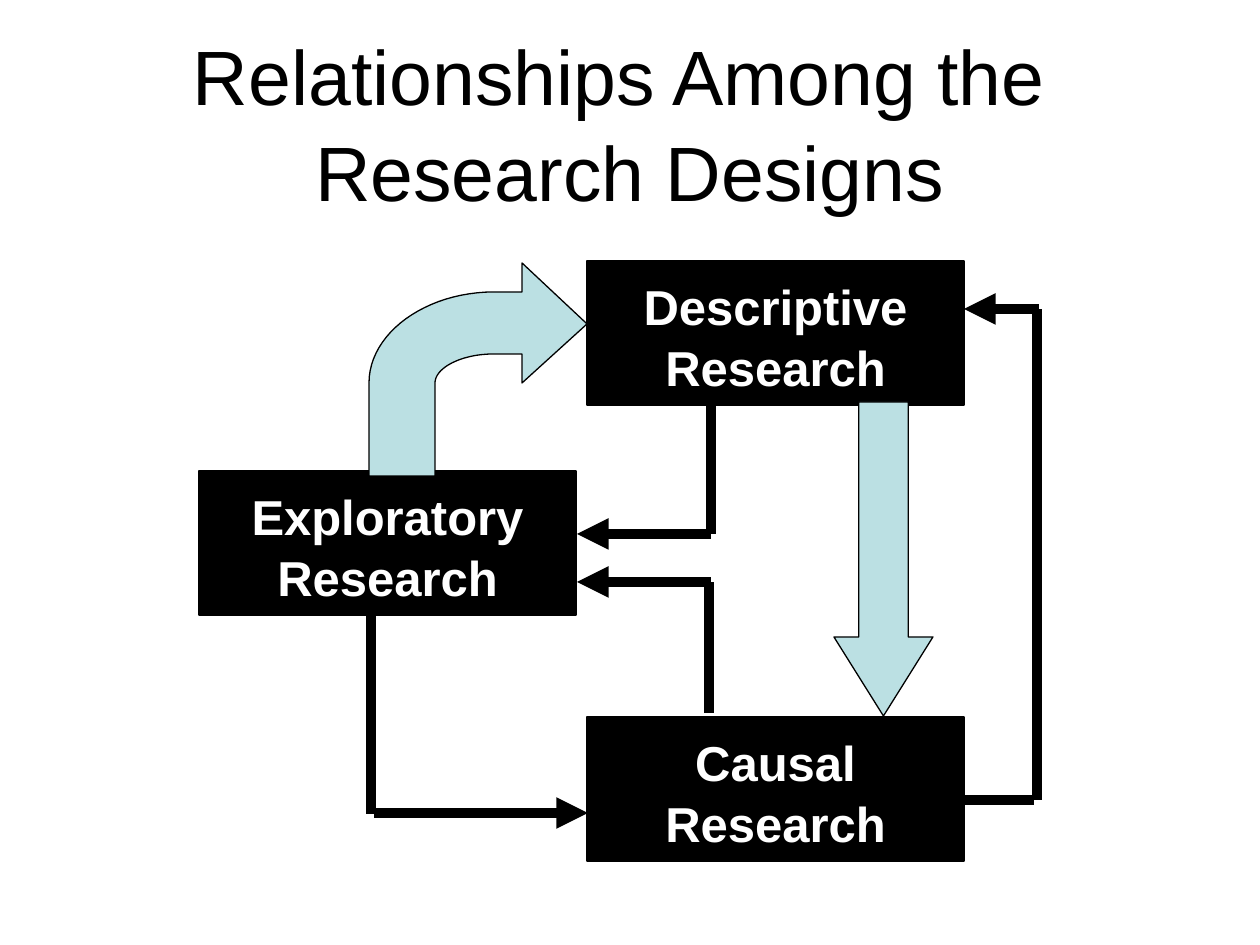
from pptx import Presentation
from pptx.dml.color import RGBColor
from pptx.enum.shapes import MSO_CONNECTOR, MSO_SHAPE
from pptx.enum.text import MSO_ANCHOR, PP_ALIGN
from pptx.oxml.ns import qn
from pptx.util import Pt
from lxml import etree

RECTANGLE, DOWN_ARROW = MSO_SHAPE.RECTANGLE, MSO_SHAPE.DOWN_ARROW
STRAIGHT = MSO_CONNECTOR.STRAIGHT
MIDDLE, CENTER = MSO_ANCHOR.MIDDLE, PP_ALIGN.CENTER

SCALE = 914400 / 126  # EMU per px
COLORS = {"black": "000000", "white": "FFFFFF", "aqua": "BBE0E3"}
BOX_WIDTH, BOX_HEIGHT = 377, 144


def emu(px):
    return round(px * SCALE)


def color(name):
    return RGBColor.from_string(COLORS[name])


def bezier(start, control_1, control_2, end, steps=24):
    """Points along a cubic curve, without its start."""
    points = []
    for step in range(1, steps + 1):
        t = step / steps
        weights = ((1 - t) ** 3, 3 * t * (1 - t) ** 2, 3 * t * t * (1 - t), t ** 3)
        corners = (start, control_1, control_2, end)
        points.append(tuple(sum(w * c[axis] for w, c in zip(weights, corners))
                            for axis in (0, 1)))
    return points


class Diagram:
    font = "Arial"

    def __init__(self, page):
        self.page = page

    def set_text(self, shape, text, size, name, bold, top_inset):
        frame = shape.text_frame
        frame.text = text
        frame.vertical_anchor = MIDDLE
        frame.margin_left = frame.margin_right = emu(12)
        frame.margin_top, frame.margin_bottom = emu(top_inset), emu(6)
        for para in frame.paragraphs:
            para.alignment = CENTER
            para.line_spacing = 1.04
            for span in para.runs:
                span.font.name, span.font.size = self.font, Pt(size)
                span.font.bold = bold
                span.font.color.rgb = color(name)
        return frame

    def paint(self, shape, fill, width):
        shape.shadow.inherit = False
        shape.fill.solid()
        shape.fill.fore_color.rgb = color(fill)
        shape.line.color.rgb = color("black")
        shape.line.width = Pt(width)

    def title(self, text, left, top, width, height):
        box = self.page.shapes.add_textbox(emu(left), emu(top), emu(width), emu(height))
        self.set_text(box, text, 44, "black", False, 14).word_wrap = True

    def box(self, text, left, top):
        box = self.page.shapes.add_shape(
            RECTANGLE, emu(left), emu(top), emu(BOX_WIDTH), emu(BOX_HEIGHT))
        self.paint(box, "black", 1)
        self.set_text(box, text, 28, "white", True, 11).word_wrap = False

    def line(self, start, end, arrow=False):
        line = self.page.shapes.add_connector(STRAIGHT, *map(emu, start + end))
        line.line.color.rgb = color("black")
        line.line.width = Pt(6)
        properties = line._element.spPr
        if arrow:
            etree.SubElement(properties.find(qn("a:ln")), qn("a:tailEnd"), type="triangle")
        etree.SubElement(properties, qn("a:effectLst"))

    def down_arrow(self, left, top, width, height, head):
        arrow = self.page.shapes.add_shape(
            DOWN_ARROW, emu(left), emu(top), emu(width), emu(height))
        arrow.adjustments[0], arrow.adjustments[1] = 0.5, head / width
        self.paint(arrow, "aqua", 0.75)

    def outline(self, points):
        builder = self.page.shapes.build_freeform(*map(emu, points[0]))
        builder.add_line_segments([(emu(x), emu(y)) for x, y in points[1:]], close=True)
        self.paint(builder.convert_to_shape(), "aqua", 0.75)


def main():
    deck = Presentation()
    deck.slide_width, deck.slide_height = emu(1260), emu(945)
    diagram = Diagram(deck.slides.add_slide(deck.slide_layouts[6]))

    # Title
    diagram.title("Relationships Among the \vResearch Designs", 63, 38, 1134, 157)

    # Research designs
    diagram.box("Descriptive\nResearch", 587, 261)
    diagram.box("Exploratory\nResearch", 199, 471)
    diagram.box("Causal\nResearch", 587, 717)

    # Exploratory to causal
    diagram.line((371, 615), (371, 814))
    diagram.line((374, 813), (588, 813), arrow=True)

    # Descriptive and causal back to exploratory
    diagram.line((711, 405), (711, 534))
    diagram.line((711, 534), (577, 534), arrow=True)
    diagram.line((709, 713), (709, 582))
    diagram.line((711, 582), (577, 582), arrow=True)

    # Causal back to descriptive
    diagram.line((964, 800), (1034, 800))
    diagram.line((1037, 800), (1037, 309))
    diagram.line((1039, 309), (964, 309), arrow=True)

    # Curved arrow from exploratory to descriptive
    outer = bezier((494, 292), (426, 292), (369, 333), (369, 383))
    inner = bezier((435, 383), (435, 368), (461, 354), (494, 354))
    diagram.outline([(587, 324), (522, 263), (522, 292), (494, 292), *outer,
                     (369, 476), (435, 476), (435, 383), *inner,
                     (522, 354), (522, 383)])

    # Block arrow from descriptive to causal
    diagram.down_arrow(834, 402, 99, 314, head=79)

    deck.save("out.pptx")


if __name__ == "__main__":
    main()
